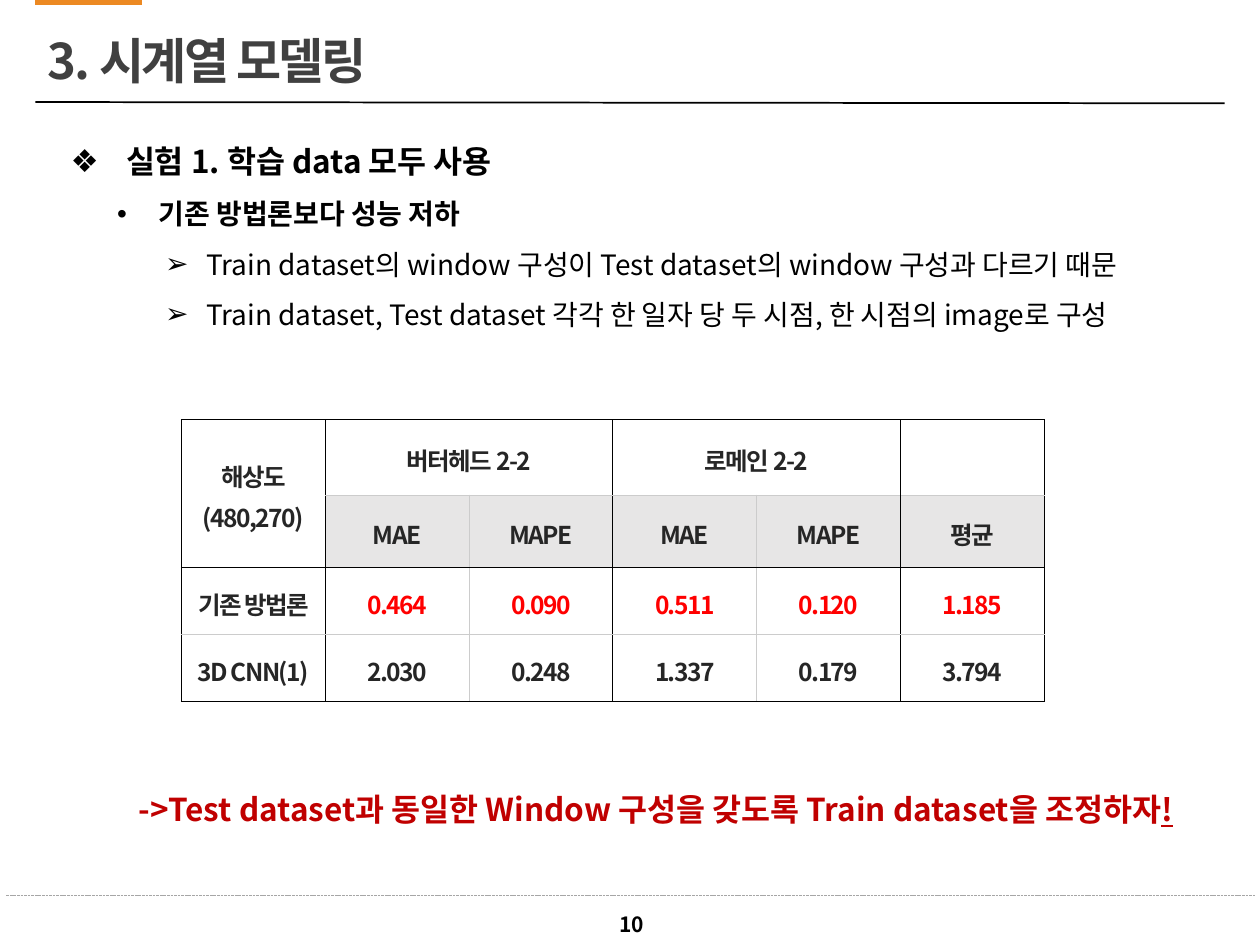
"""Build the time-series modelling slide with its results table."""
from dataclasses import dataclass

from lxml import etree
from pptx import Presentation
from pptx import util as u
from pptx.dml.color import RGBColor
from pptx.enum import dml, shapes, text
from pptx.oxml import ns


@dataclass(frozen=True)
class Theme:
    """Hold the font, colours and type sizes."""
    font: str = "Noto Sans CJK KR"
    ink: str = "000000"
    heading: str = "404040"
    cell: str = "262626"
    accent: str = "EC8922"
    footer: str = "A6A6A6"
    grid: str = "CCCCCC"
    shade: str = "E7E6E6"
    best: str = "FF0000"
    conclusion: str = "C00000"
    title_size: int = 28
    lead_size: int = 18
    list_size: int = 16
    table_size: int = 14
    page_size: int = 12


def add_element(parent, tag, **attributes):
    """Append a DrawingML element and return it."""
    return etree.SubElement(parent, ns.qn(tag), attributes)


class SlideBuilder:
    """Place styled elements on a grid of 100 columns by 75 rows."""

    def __init__(self, deck, theme):
        """Open a page with title and body placeholders."""
        self.theme = theme
        self.column = deck.slide_width / 100
        self.row = deck.slide_height / 75
        self.page = deck.slides.add_slide(deck.slide_layouts[1])

    def lengths(self, *values):
        """Convert alternating columns and rows to slide lengths."""
        return [round(value * (self.row if i % 2 else self.column))
                for i, value in enumerate(values)]

    def place(self, box, *area):
        """Move and size a box."""
        box.left, box.top, box.width, box.height = self.lengths(*area)

    def style(self, para, size, color, bold=True, spacing=0):
        """Format every run of a paragraph."""
        for span in para.runs:
            span.font.size = u.Pt(size)
            span.font.bold = bold
            span.font.name = self.theme.font
            span.font.color.rgb = RGBColor.from_string(color)
            properties = span.font._element
            add_element(properties, "a:ea", typeface=self.theme.font)
            if spacing:
                properties.set("spc", str(round(spacing * 100)))

    def title(self, words, *area):
        """Fill the title placeholder."""
        box = self.page.shapes.title
        self.place(box, *area)
        frame = box.text_frame
        frame.text = words
        frame.vertical_anchor = text.MSO_ANCHOR.MIDDLE
        para = frame.paragraphs[0]
        para.alignment = text.PP_ALIGN.LEFT
        para.line_spacing = 0.9
        self.style(para, self.theme.title_size, self.theme.heading, spacing=-1.3)

    def outline(self, items, *area):
        """Fill the body placeholder with a bulleted outline."""
        box = self.page.placeholders[1]
        self.place(box, *area)
        frame = box.text_frame
        frame.text = "\n".join(item[0] for item in items)
        frame.auto_size = text.MSO_AUTO_SIZE.SHAPE_TO_FIT_TEXT
        for para, (_, level, bullet, margin, hang, size, bold) in zip(frame.paragraphs, items):
            para.level = level
            para.line_spacing = 1.5
            para.space_before = u.Pt(0)
            properties = para._p.get_or_add_pPr()
            properties.set("marL", str(u.Inches(margin)))
            properties.set("indent", str(-u.Inches(hang)))
            add_element(properties, "a:buFont", typeface="Arial")
            add_element(properties, "a:buChar", char=bullet)
            self.style(para, size, self.theme.ink, bold)

    def label(self, words, size, color, *area, align=text.PP_ALIGN.LEFT,
              anchor=text.MSO_ANCHOR.TOP, spacing=1.0):
        """Add a one-line text box and return its paragraph."""
        box = self.page.shapes.add_textbox(*self.lengths(*area))
        frame = box.text_frame
        frame.word_wrap = True
        frame.text = words
        frame.vertical_anchor = anchor
        para = frame.paragraphs[0]
        para.alignment = align
        para.line_spacing = spacing
        self.style(para, size, color)
        return para

    def rule(self, color, width, *ends, dash=None):
        """Draw a straight line."""
        line = self.page.shapes.add_connector(shapes.MSO_CONNECTOR.STRAIGHT, *self.lengths(*ends))
        line.line.color.rgb = RGBColor.from_string(color)
        line.line.width = u.Pt(width)
        line.line.dash_style = dash
        add_element(line._element.spPr, "a:effectLst")

    def border(self, cell, side, color, width):
        """Draw one border of a cell."""
        edge = add_element(cell._tc.get_or_add_tcPr(), f"a:ln{side}", w=str(u.Pt(width)))
        add_element(add_element(edge, "a:solidFill"), "a:srgbClr", val=color)

    def frame_cell(self, cell, row, column):
        """Apply the border rules of the results table."""
        bottom = row + (cell.span_height if cell.is_merge_origin else 1)
        right = column + (cell.span_width if cell.is_merge_origin else 1)
        for side, edge in (("L", column), ("R", right)):
            color = self.theme.grid if edge in (2, 4) else self.theme.ink
            self.border(cell, side, color, 1 if edge == 5 and row else 0.75)
        for side, edge in (("T", row), ("B", bottom)):
            color = self.theme.grid if edge in (1, 3) else self.theme.ink
            self.border(cell, side, color, 1 if edge == 4 else 0.75)

    def table(self, records, merges, heights, *area):
        """Add the results table with merged headers."""
        grid = self.page.shapes.add_table(len(records), len(records[0]), *self.lengths(*area)).table
        grid._tbl.tblPr.find(ns.qn("a:tableStyleId")).text = "{2D5ABB26-0587-4C30-8999-92F81FD0307C}"
        grid.first_row = grid.horz_banding = False
        for line, height in zip(grid.rows, heights):
            line.height = round(height * self.row)
        for first, last in merges:
            grid.cell(*first).merge(grid.cell(*last))
        for row, record in enumerate(records):
            for column, words in enumerate(record):
                cell = grid.cell(row, column)
                if cell.is_spanned:
                    continue
                self.frame_cell(cell, row, column)
                if row == 1:
                    cell.fill.solid()
                    cell.fill.fore_color.rgb = RGBColor.from_string(self.theme.shade)
                else:
                    cell.fill.background()
                cell.vertical_anchor = text.MSO_ANCHOR.MIDDLE
                cell.margin_left = cell.margin_right = u.Inches(0.02)
                cell.margin_top = cell.margin_bottom = u.Inches(0.02)
                cell.text = words
                color = self.theme.best if row == 2 and column else self.theme.cell
                for para in cell.text_frame.paragraphs:
                    para.alignment = text.PP_ALIGN.CENTER
                    para.line_spacing = 1.15
                    self.style(para, self.theme.table_size, color, spacing=-0.9)


def main():
    """Compose and save the slide."""
    deck = Presentation()
    deck.slide_width, deck.slide_height = u.Inches(10), u.Inches(7.5)
    theme = Theme()
    page = SlideBuilder(deck, theme)
    page.rule(theme.ink, 1, 2.8, 8.1, 97.2, 8.2)
    page.rule(theme.accent, 3, 2.8, 0.2, 11.3, 0.2)
    page.rule(theme.footer, 0.5, 0.5, 71.1, 99.7, 71.1, dash=dml.MSO_LINE.SQUARE_DOT)
    page.label("10", theme.page_size, theme.ink, 46.5, 71.9, 7.3, 2.8,
               align=text.PP_ALIGN.CENTER, anchor=text.MSO_ANCHOR.MIDDLE)
    page.title("3. 시계열 모델링", 2.8, 2.5, 71.6, 5.1)
    page.outline([
        ("실험 1. 학습 data 모두 사용", 2, "❖", 0.44, 0.44, theme.lead_size, True),
        ("기존 방법론보다 성능 저하", 1, "•", 0.7, 0.33, theme.list_size, True),
        ("Train dataset의 window 구성이 Test dataset의 window 구성과 다르기 때문",
         2, "➢", 1.08, 0.33, theme.list_size, False),
        ("Train dataset, Test dataset 각각 한 일자 당 두 시점, 한 시점의 image로 구성",
         2, "➢", 1.08, 0.33, theme.list_size, False),
    ], 4.6, 9.3, 96.4, 17.1)
    page.table([
        ("해상도\n(480,270)", "버터헤드 2-2", "", "로메인 2-2", "", ""),
        ("", "MAE", "MAPE", "MAE", "MAPE", "평균"),
        ("기존 방법론", "0.464", "0.090", "0.511", "0.120", "1.185"),
        ("3D CNN(1)", "2.030", "0.248", "1.337", "0.179", "3.794"),
    ], [((0, 0), (1, 0)), ((0, 1), (0, 2)), ((0, 3), (0, 4))],
        (6, 5.3, 5.3, 5.3), 14.4, 33.3, 68.5, 21.9)
    conclusion = page.label("->Test dataset과 동일한 Window 구성을 갖도록 Train dataset을 조정하자",
                            theme.lead_size, theme.conclusion, 2.5, 60.7, 95.1, 5, spacing=1.5)
    conclusion._p.get_or_add_pPr().set("marL", str(u.Inches(0.75)))
    mark = conclusion.add_run()
    mark.text = "!"
    page.style(conclusion, theme.lead_size, theme.conclusion)
    mark.font.underline = True
    deck.save("out.pptx")


if __name__ == "__main__":
    main()
